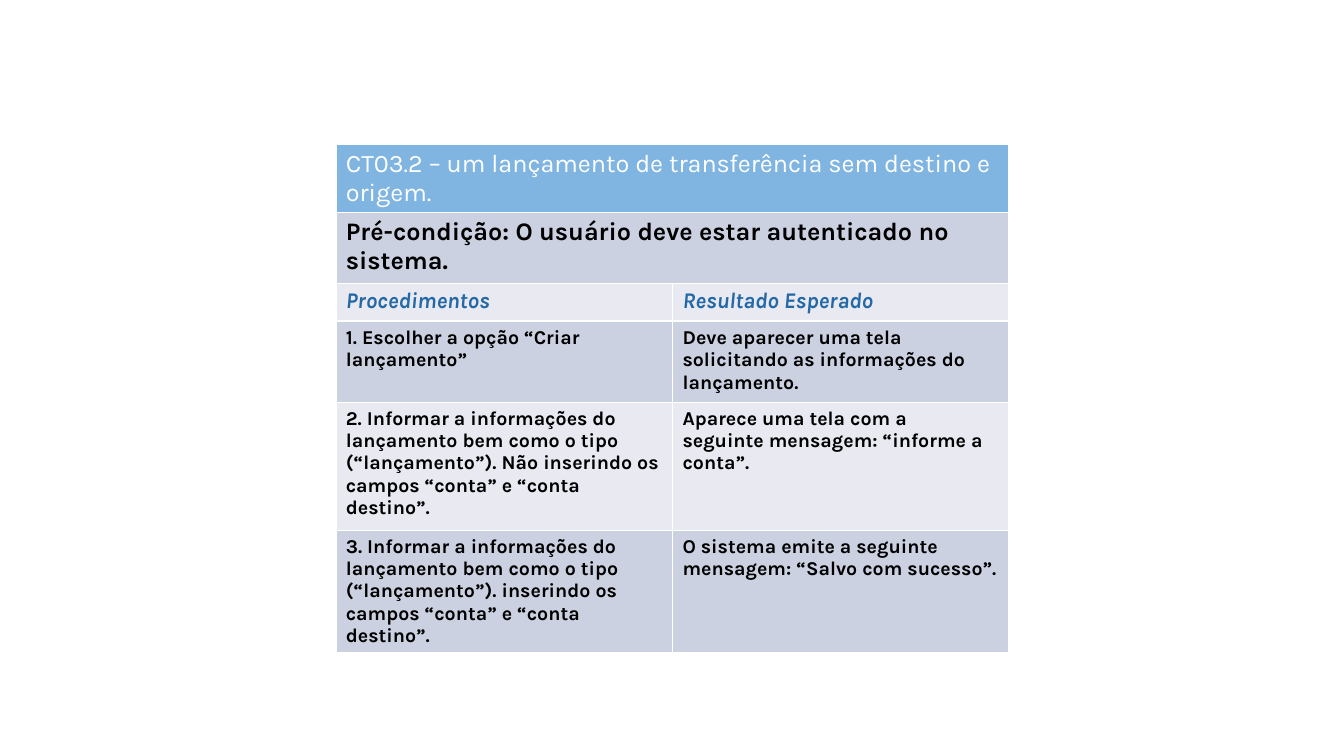
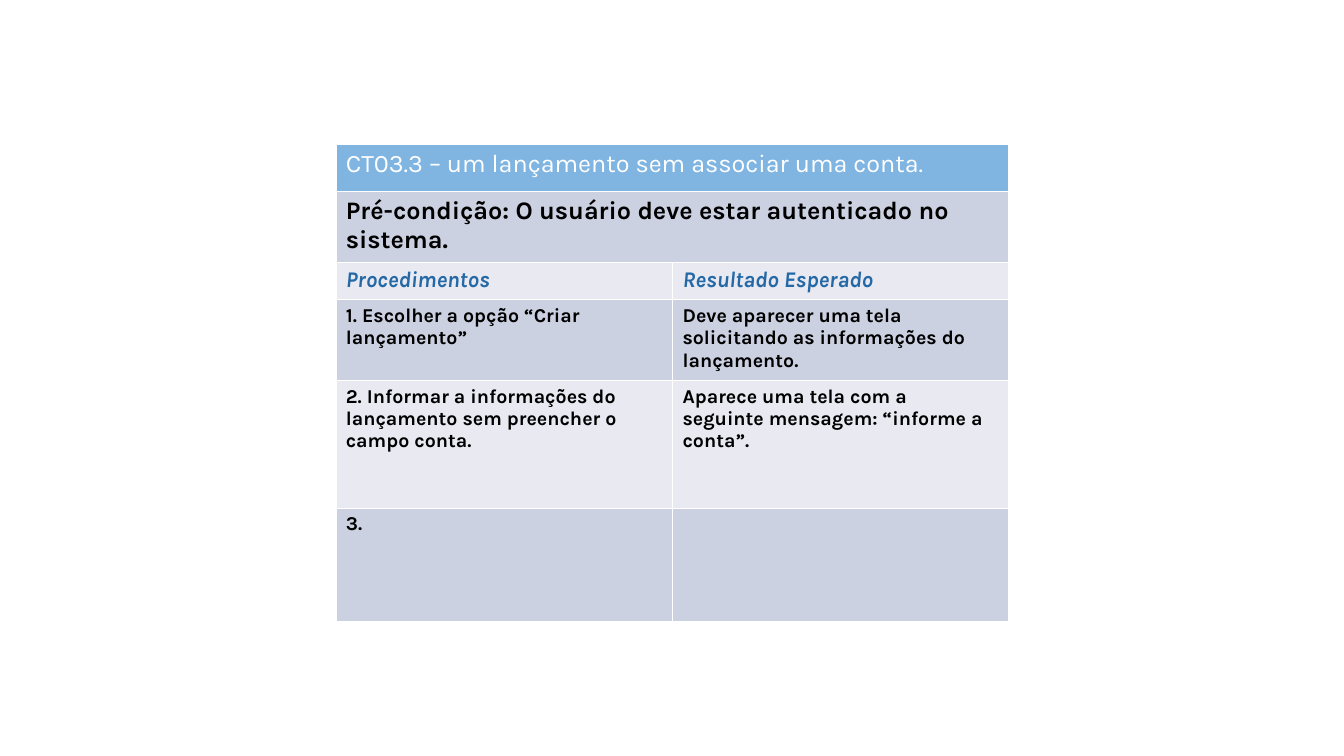
"""Build two test-case slides, each with a form table and a table of steps laid over it."""
from dataclasses import dataclass

from lxml import etree
from pptx import Presentation
from pptx.dml.color import RGBColor
from pptx.oxml.ns import qn
from pptx.util import Inches, Pt

PRECONDITION = "Pré-condição: O usuário deve estar autenticado no sistema."
COLUMN_HEADS = ("Procedimentos", "Resultado Esperado")
STEP_NUMBERS = [(f"{number}. ", "") for number in (1, 2, 3)]
CREATE_STEP = (
    "1. Escolher a opção “Criar lançamento”",
    "Deve aparecer uma tela\nsolicitando as informações do lançamento.",
)
ACCOUNT_MESSAGE = "Aparece uma tela com a\nseguinte mensagem: “informe a conta”."
TEST_CASES = [
    {
        "heading": "CT03.2 – um lançamento de transferência sem destino e origem.",
        "heading_height": 0.67,
        "steps_top": 3.19,
        "steps": [
            CREATE_STEP,
            ("2. Informar a informações do lançamento bem como o tipo (“lançamento”). "
             "Não inserindo os campos “conta” e “conta destino”.", ACCOUNT_MESSAGE),
            ("3. Informar a informações do lançamento bem como o tipo (“lançamento”). "
             "inserindo os campos “conta” e “conta destino”.",
             "O sistema emite a seguinte\nmensagem: “Salvo com sucesso”."),
        ],
        "step_heights": (0.8, 1.27, 1.21),
    },
    {
        "heading": "CT03.3 – um lançamento sem associar uma conta.",
        "heading_height": 0.47,
        "steps_top": 2.97,
        "steps": [
            CREATE_STEP,
            ("2. Informar a informações do lançamento sem preencher o campo conta.",
             ACCOUNT_MESSAGE),
        ],
        "step_heights": (0.8, 1.27),
    },
]


@dataclass(frozen=True)
class Theme:
    font: str = "Karla"
    white: str = "FFFFFF"
    black: str = "000000"
    accent: str = "2469A6"
    header: str = "80B5E2"
    bands: tuple = ("CCD1E1", "E8E9F1")
    heading_size: int = 18
    column_size: int = 16
    step_size: int = 14
    line_spacing: float = 0.98
    border: float = 0.23
    header_rule: float = 0.74


THEME = Theme()
SLIDE_WIDTH, SLIDE_HEIGHT = 13.33, 7.5
TABLE_LEFT, FORM_TOP = 3.33, 1.43
COLUMN_WIDTHS = (3.34, 3.33)
FORM_HEIGHTS = (0.7, 0.37, 0.8, 1.27, 1.12)
BLANK_LAYOUT = 6

HEADING_STYLE = dict(size=THEME.heading_size, color=THEME.white, bold=False)
PRECONDITION_STYLE = dict(size=THEME.heading_size, color=THEME.black)
COLUMN_STYLE = dict(size=THEME.column_size, color=THEME.accent, italic=True)
STEP_STYLE = dict(size=THEME.step_size, color=THEME.black)


def write(frame, text, size, color, bold=True, italic=False):
    frame.text = text
    for paragraph in frame.paragraphs:
        paragraph.line_spacing = THEME.line_spacing
        for target in [paragraph.font] + [run.font for run in paragraph.runs]:
            target.name, target.size = THEME.font, Pt(size)
            target.bold, target.italic = bold, italic
            target.color.rgb = RGBColor.from_string(color)


def paint(cell, fill, top, bottom):
    properties = cell._tc.get_or_add_tcPr()
    widths = {"lnL": THEME.border, "lnR": THEME.border, "lnT": top, "lnB": bottom}
    for side, width in widths.items():
        line = etree.SubElement(properties, qn(f"a:{side}"), w=str(Pt(width)))
        solid = etree.SubElement(line, qn("a:solidFill"))
        etree.SubElement(solid, qn("a:srgbClr"), val=THEME.white)
    cell.fill.solid()
    cell.fill.fore_color.rgb = RGBColor.from_string(fill)


def add_grid(slide, top, rows, heights, styles, fills):
    table = slide.shapes.add_table(
        len(rows), len(COLUMN_WIDTHS), Inches(TABLE_LEFT), Inches(top),
        Inches(sum(COLUMN_WIDTHS)), Inches(sum(heights)),
    ).table
    table.first_row = table.horz_banding = False
    for column, width in zip(table.columns, COLUMN_WIDTHS):
        column.width = Inches(width)
    above = None
    for row, texts, height, style, fill in zip(table.rows, rows, heights, styles, fills):
        row.height = Inches(height)
        rule_above = THEME.header_rule if above == THEME.header else THEME.border
        rule_below = THEME.header_rule if fill == THEME.header else THEME.border
        cells = list(row.cells)
        for cell in cells:
            paint(cell, fill, rule_above, rule_below)
        if len(texts) == 1:
            cells[0].merge(cells[-1])
        for cell, text in zip(cells, texts):
            write(cell.text_frame, text, **style)
        above = fill


def add_test_case(slide, heading, heading_height, steps_top, steps, step_heights):
    form = [(heading,), (PRECONDITION,), COLUMN_HEADS, *STEP_NUMBERS]
    form_styles = [HEADING_STYLE, PRECONDITION_STYLE, COLUMN_STYLE]
    form_styles += [STEP_STYLE] * len(STEP_NUMBERS)
    bands = THEME.bands * len(form)
    add_grid(slide, FORM_TOP, form, (heading_height, *FORM_HEIGHTS),
             form_styles, (THEME.header, *bands))
    add_grid(slide, steps_top, steps, step_heights, [STEP_STYLE] * len(steps), bands)


deck = Presentation()
deck.slide_width, deck.slide_height = Inches(SLIDE_WIDTH), Inches(SLIDE_HEIGHT)
for test_case in TEST_CASES:
    add_test_case(deck.slides.add_slide(deck.slide_layouts[BLANK_LAYOUT]), **test_case)
deck.save("out.pptx")
